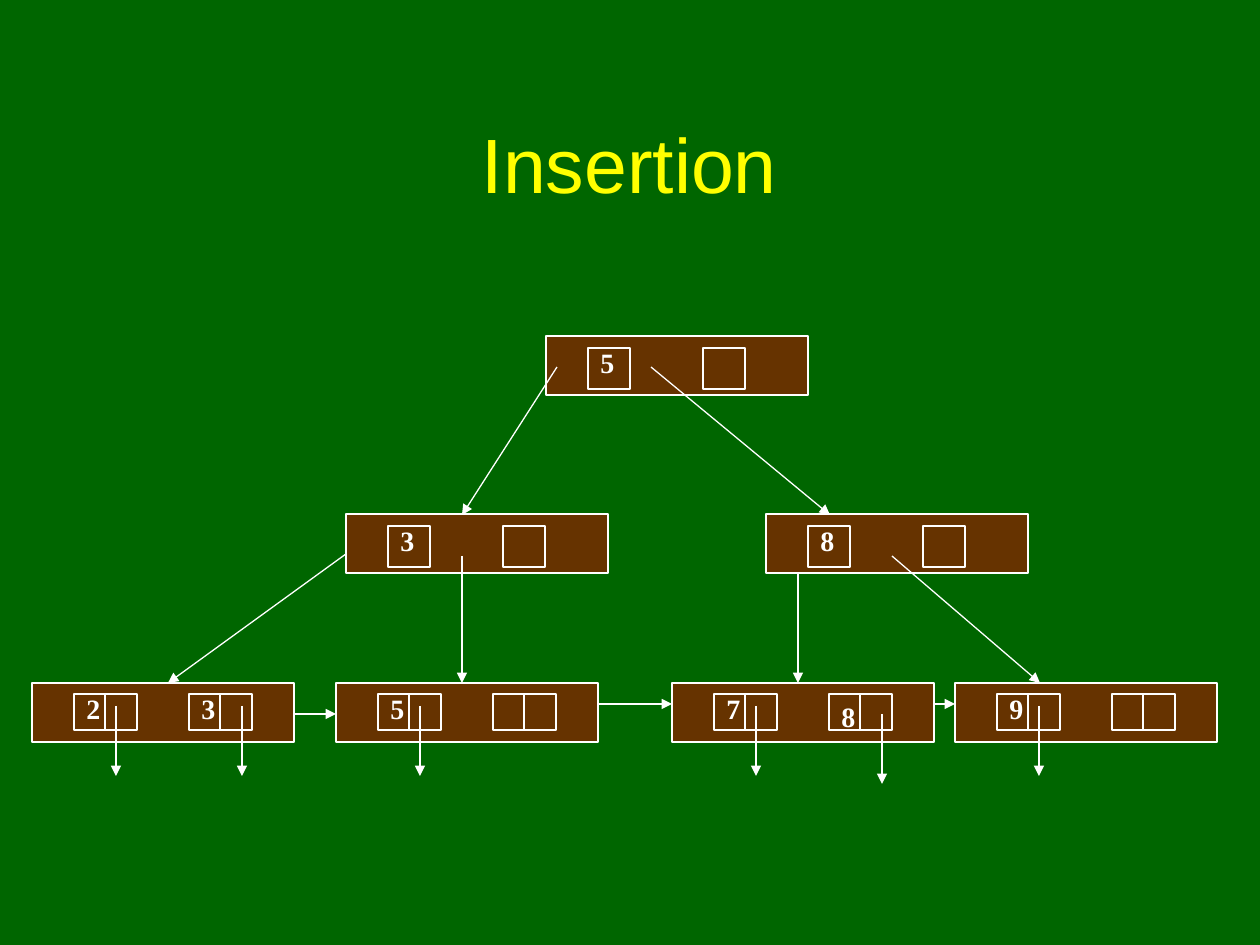
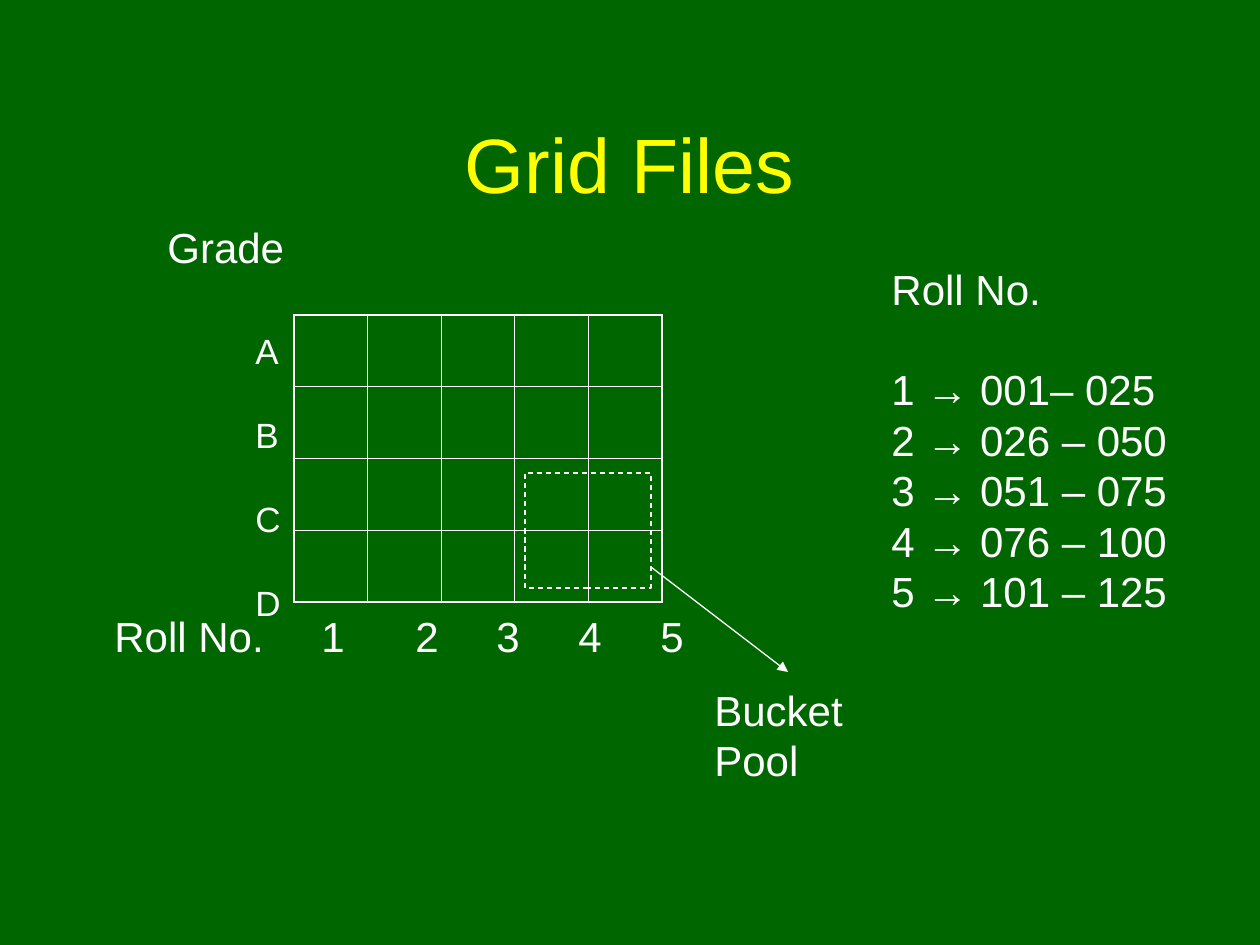
"""Build two slides on index structures: tree insertion and grid files."""
from lxml.etree import SubElement
from pptx import Presentation
from pptx.dml.color import RGBColor
from pptx.enum.dml import MSO_LINE
from pptx.enum.shapes import MSO_CONNECTOR, MSO_SHAPE
from pptx.enum.text import MSO_ANCHOR, MSO_AUTO_SIZE, PP_ALIGN
from pptx.oxml import parse_xml
from pptx.oxml.ns import nsdecls, qn
from pptx.util import Pt

COLORS = {"back": "006600", "title": "FFFF00", "ink": "FFFFFF", "node": "663300"}
SCALE = 914400 / 126
LEADING = 1.2
TITLE = {"name": "Arial", "size": Pt(44), "bold": False}
BODY = {"name": "Arial", "size": Pt(24), "bold": False}
GRADE = {"name": "Arial", "size": Pt(20), "bold": False}
KEY = {"name": "Times New Roman", "size": Pt(16), "bold": True}
NODE_W, NODE_H = 262, 59
SLOT_XS = (42, 157)
POINTER_XS = (42, 53)


def px(value):
    """Turn a length in px into EMU."""
    return round(value * SCALE)


def rgb(name):
    """Look up a named colour."""
    return RGBColor.from_string(COLORS[name])


def set_all(target, values):
    """Set attributes of an object from a dict."""
    for name, value in values.items():
        setattr(target, name, value)


def write(p, text, style, color="ink", **layout):
    """Fill a paragraph with one formatted run."""
    set_all(p, {"line_spacing": Pt(style["size"].pt * LEADING), **layout})
    r = p.add_run()
    r.text = text
    set_all(r.font, style)
    r.font.color.rgb = rgb(color)


def add_title_slide(prs, text):
    """Add a title-only slide and format its title."""
    s = prs.slides.add_slide(prs.slide_layouts[5])
    title = s.shapes.title
    set_all(title, {"left": px(94), "top": px(84), "width": px(1071), "height": px(158)})
    tf = title.text_frame
    set_all(tf, {"vertical_anchor": MSO_ANCHOR.MIDDLE, "auto_size": MSO_AUTO_SIZE.NONE})
    write(tf.paragraphs[0], text, TITLE, "title", alignment=PP_ALIGN.CENTER)
    return s


def add_text(s, x, y, w, h, lines):
    """Add a text box from (text, style, layout) lines and return its frame."""
    tf = s.shapes.add_textbox(px(x), px(y), px(w), px(h)).text_frame
    tf.word_wrap = True
    for i, (text, style, layout) in enumerate(lines):
        p = tf.add_paragraph() if i else tf.paragraphs[0]
        write(p, text, style, **layout)
    return tf


def add_box(s, x, y, w, h, fill=None, dash=None):
    """Add an outlined rectangle."""
    sp = s.shapes.add_shape(MSO_SHAPE.RECTANGLE, px(x), px(y), px(w), px(h))
    sp.shadow.inherit = False
    if fill:
        sp.fill.solid()
        sp.fill.fore_color.rgb = rgb(fill)
    else:
        sp.fill.background()
    sp.line.color.rgb = rgb("ink")
    set_all(sp.line, {"width": Pt(0.75), "dash_style": dash})


def add_line(s, x1, y1, x2, y2, arrow=True):
    """Add a straight line, with an arrowhead at its end if wanted."""
    cn = s.shapes.add_connector(MSO_CONNECTOR.STRAIGHT, px(x1), px(y1), px(x2), px(y2))
    cn.line.color.rgb = rgb("ink")
    cn.line.width = Pt(0.75)
    if arrow:
        SubElement(cn.line._get_or_add_ln(), qn("a:tailEnd"), type="triangle")
    SubElement(cn._element.spPr, qn("a:effectLst"))


def add_key(s, x, y, key):
    """Write a key at the left of its slot."""
    layout = {"alignment": PP_ALIGN.CENTER}
    tf = add_text(s, x, y - 9, 39, 47, [(key, KEY, layout)])
    set_all(tf, {"vertical_anchor": MSO_ANCHOR.MIDDLE, "margin_left": 0, "margin_right": 0})


def add_inner_node(s, x, y, key):
    """Add an inner node with one key and one free slot."""
    add_box(s, x, y, NODE_W, NODE_H, "node")
    for dx in SLOT_XS:
        add_box(s, x + dx, y + 12, 42, 41)
    add_key(s, x + SLOT_XS[0], y + 12, key)


def add_leaf(s, x, y, keys, drops=(0, 0)):
    """Add a leaf whose used slots point down to records."""
    add_box(s, x, y, NODE_W, NODE_H, "node")
    for dx in SLOT_XS:
        add_box(s, x + dx, y + 11, 63, 36)
        add_line(s, x + dx + 31, y + 11, x + dx + 31, y + 47, arrow=False)
    for key, dx, pointer_dx, drop in zip(keys, SLOT_XS, POINTER_XS, drops):
        add_key(s, x + dx, y + 11 + drop, key)
        pointer_x = x + dx + pointer_dx
        add_line(s, pointer_x, y + 23 + drop, pointer_x, y + 93 + drop)


def add_grid(s, x, y, w, h, rows, cols):
    """Add an empty table with thin inner and thicker outer lines."""
    table = s.shapes.add_table(rows, cols, px(x), px(y), px(w), px(h)).table
    set_all(table, {"first_row": False, "horz_banding": False})
    for row in range(rows):
        for col in range(cols):
            cell = table.cell(row, col)
            cell.fill.background()
            outer = {"L": col == 0, "R": col == cols - 1, "T": row == 0, "B": row == rows - 1}
            for i, (side, is_outer) in enumerate(outer.items()):
                width = Pt(1.08 if is_outer else 0.45)
                cell._tc.get_or_add_tcPr().insert(i, parse_xml(
                    f'<a:ln{side} {nsdecls("a")} w="{width}"><a:solidFill>'
                    f'<a:srgbClr val="{COLORS["ink"]}"/></a:solidFill></a:ln{side}>'))


def set_tabs(p, stops):
    """Give a paragraph left tab stops."""
    tabs = SubElement(p._p.get_or_add_pPr(), qn("a:tabLst"))
    for stop in stops:
        SubElement(tabs, qn("a:tab"), pos=str(px(stop)), algn="l")


def build_insertion(prs):
    """Draw the tree after insertion."""
    s = add_title_slide(prs, "Insertion")
    leaf_y = 683
    for x, keys, drops in ((32, "23", (0, 0)), (336, "5", (0, 0)),
                           (672, "78", (0, 8)), (955, "9", (0, 0))):
        add_leaf(s, x, leaf_y, keys, drops)
    for x1, x2, y in ((294, 336, 714), (599, 672, 704), (935, 955, 704)):
        add_line(s, x1, y, x2, y)
    for edge in ((357, 546, 168, leaf_y), (798, 567, 798, leaf_y)):
        add_line(s, *edge)
    for x, y, key in ((346, 514, "3"), (766, 514, "8"), (546, 336, "5")):
        add_inner_node(s, x, y, key)
    for edge in ((462, 556, 462, leaf_y), (892, 556, 1040, leaf_y),
                 (557, 367, 462, 515), (651, 367, 830, 515)):
        add_line(s, *edge)


def build_grid_files(prs):
    """Draw the grid file with its scales and bucket pool."""
    s = add_title_slide(prs, "Grid Files")
    add_grid(s, 294, 315, 368, 287, 4, 5)
    tf = add_text(s, 102, 604, 640, 63, [("Roll No.\t1\t2\t3\t4\t5", BODY, {})])
    set_tabs(tf.paragraphs[0], (207, 301, 382, 464, 546))
    grades = [(grade, GRADE, {"space_before": Pt(33 if grade == "A" else 24)})
              for grade in "ABCD"]
    tf = add_text(s, 155, 215, 150, 416, [("Grade", BODY, {}), *grades])
    for p in tf.paragraphs[1:]:
        p._p.get_or_add_pPr().set("marL", str(px(88)))
    ranges = ("1 → 001– 025", "2 → 026 – 050", "3 → 051 – 075",
              "4 → 076 – 100", "5 → 101 – 125")
    rows = [(text, BODY, {"space_before": Pt(0 if i else 28.8)})
            for i, text in enumerate(ranges)]
    add_text(s, 879, 257, 320, 365, [("Roll No.", BODY, {}), *rows])
    add_box(s, 525, 473, 126, 115, dash=MSO_LINE.DASH)
    add_line(s, 651, 567, 788, 672)
    add_text(s, 702, 678, 165, 113, [("Bucket", BODY, {}), ("Pool", BODY, {})])


def main():
    """Build and save the presentation."""
    prs = Presentation()
    set_all(prs, {"slide_width": px(1260), "slide_height": px(945)})
    fill = prs.slide_master.background.fill
    fill.solid()
    fill.fore_color.rgb = rgb("back")
    build_insertion(prs)
    build_grid_files(prs)
    prs.save("out.pptx")


if __name__ == "__main__":
    main()
